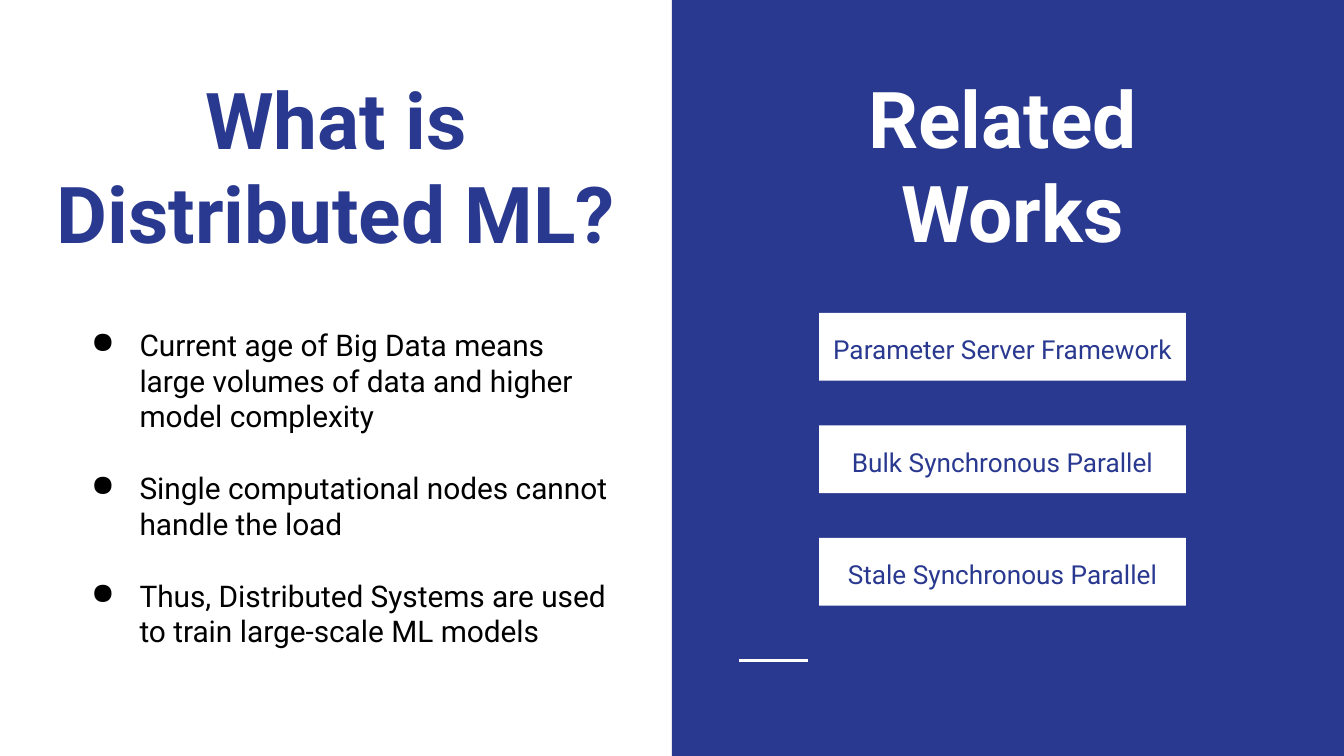
from pptx import Presentation
from pptx.dml.color import RGBColor as RGB
from pptx.enum.shapes import MSO_CONNECTOR as LINE, MSO_SHAPE as SHAPE
from pptx.enum.text import MSO_ANCHOR as ANCHOR, PP_ALIGN as ALIGN
from pptx.oxml.ns import qn
from pptx.util import Inches, Pt
from lxml.etree import SubElement as Sub

INK = {"blue": "2A3990", "white": "FFFFFF", "black": "000000"}
deck = Presentation()
deck.slide_width = Inches(10)
deck.slide_height = deck.slide_width * 9 // 16
slide = deck.slides.add_slide(deck.slide_layouts[6])
parts = slide.shapes

# Grid: 100 columns by 100 rows
COL, ROW = deck.slide_width / 100, deck.slide_height / 100


def area(x, y, w, h):
    return int(x * COL), int(y * ROW), int(w * COL), int(h * ROW)


def write(shape, text, size, ink, align, anchor, bold=False):
    frame = shape.text_frame
    frame.text = text
    frame.word_wrap = True
    frame.vertical_anchor = anchor
    frame.margin_left = frame.margin_right = Inches(0.1)
    frame.margin_top = frame.margin_bottom = Inches(0.1)
    for para in frame.paragraphs:
        para.alignment = align
        for run in para.runs:
            font = run.font
            font.name, font.size, font.bold = "Roboto", Pt(size), bold
            font.color.rgb = RGB.from_string(INK[ink])
    return frame.paragraphs


# Right half, then the white cards on it
LABELS = ["", "Parameter Server Framework", "Bulk Synchronous Parallel",
          "Stale Synchronous Parallel"]
for i, label in enumerate(LABELS):
    spot = area(60.95, 41.4 + 14.88 * (i - 1), 27.3, 8.95) if i else area(50, 0, 50, 100)
    rect = parts.add_shape(SHAPE.RECTANGLE, *spot)
    rect.shadow.inherit = False
    rect.fill.solid()
    rect.fill.fore_color.rgb = RGB.from_string(INK["white" if i else "blue"])
    rect.line.fill.background()
    if label:
        para = write(rect, label, 14, "blue", ALIGN.CENTER, ANCHOR.MIDDLE)[0]
        para.line_spacing = 1.15

# Short rule under the cards
x, y, w, h = area(55, 87.4, 5.1, 0)
rule = parts.add_connector(LINE.STRAIGHT, x, y, x + w, y)
rule.line.color.rgb = RGB.from_string(INK["white"])
rule.line.width = Pt(1.5)
Sub(rule._element.spPr, qn("a:effectLst"))

# Headings
HEADS = [("What is Distributed ML?", 2.9, 5.72, "blue"),
         ("Related\n Works", 52.5, 5.48, "white")]
for text, x, y, ink in HEADS:
    head = parts.add_textbox(*area(x, y, 44.2, 30.4))
    write(head, text, 42, ink, ALIGN.CENTER, ANCHOR.BOTTOM, True)

# Bullet list
POINTS = ["Current age of Big Data means large volumes of data and higher model complexity",
          "Single computational nodes cannot handle the load",
          "Thus, Distributed Systems are used to train large-scale ML models"]
body = parts.add_textbox(*area(4.4, 41.4, 42, 46.76))
paras = write(body, "\n".join(POINTS), 16, "black", ALIGN.LEFT, ANCHOR.TOP)
for i, para in enumerate(paras):
    para.space_before = Pt(19.2 if i else 0)
    props = para._p.get_or_add_pPr()
    props.set("marL", str(Inches(0.5)))
    props.set("indent", str(Inches(-0.36)))
    tint = Sub(props, qn("a:buClr"))
    Sub(tint, qn("a:srgbClr"), val=INK["black"])
    Sub(props, qn("a:buChar"), char="●")

deck.save("out.pptx")
